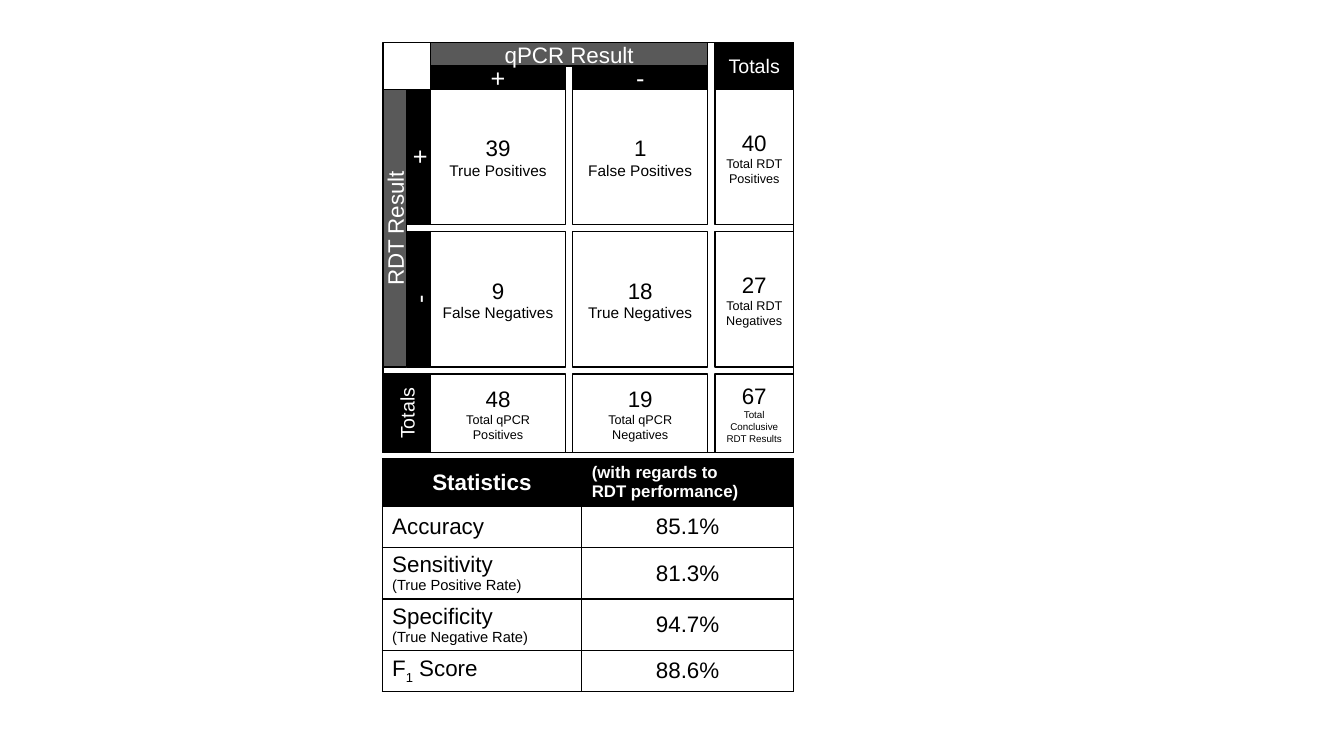
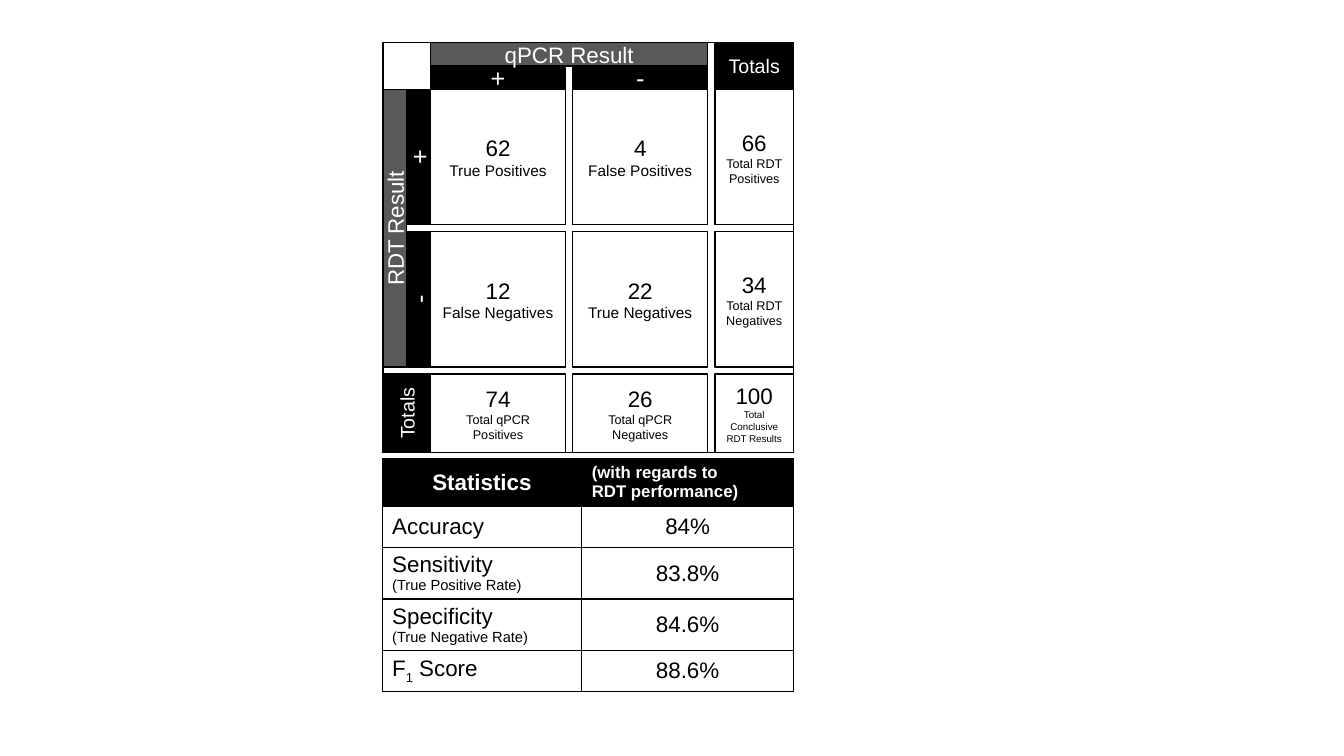
from dataclasses import dataclass

from lxml import etree
from pptx import Presentation
from pptx.dml.color import RGBColor
from pptx.enum.shapes import MSO_SHAPE
from pptx.enum.text import MSO_ANCHOR, PP_ALIGN
from pptx.oxml.ns import qn
from pptx.slide import Slide
from pptx.table import _Cell
from pptx.text.text import TextFrame
from pptx.util import Inches, Pt

BLACK = RGBColor(0x00, 0x00, 0x00)
GRAY = RGBColor(0x59, 0x59, 0x59)
WHITE = RGBColor(0xFF, 0xFF, 0xFF)
FONT = "Arial"
RECTANGLE = MSO_SHAPE.RECTANGLE
MIDDLE = MSO_ANCHOR.MIDDLE
CENTER = PP_ALIGN.CENTER
LEFT = PP_ALIGN.LEFT

GRID_LEFT, GRID_TOP = 3.80, 0.42
BAND = 0.235
HEADER = 2 * BAND
CELL = 1.34
TOTAL = 0.78
GAP = 0.07
STARTS = [HEADER + index * (CELL + GAP) for index in range(3)]
SIZES = [CELL, CELL, TOTAL]
SPAN = 2 * CELL + GAP
GRID_SIZE = STARTS[2] + TOTAL
TABLE_LEFT, TABLE_TOP = 3.79, 4.55
COLUMN_WIDTHS = [1.98, 2.10]
ROW_HEIGHT = 0.41


@dataclass(frozen=True)
class Line:
    text: str
    size: float = 16
    bold: bool = False


@dataclass(frozen=True)
class Box:
    left: float
    top: float
    width: float
    height: float
    lines: tuple[Line, ...] = ()
    fill: RGBColor | None = None
    vertical: bool = False


@dataclass(frozen=True)
class Study:
    counts: tuple[tuple[int, int], tuple[int, int]]
    statistics: tuple[str, str, str, str]


STUDIES = [
    Study(((39, 1), (9, 18)), ("85.1%", "81.3%", "94.7%", "88.6%")),
    Study(((62, 4), (12, 22)), ("84%", "83.8%", "84.6%", "88.6%")),
]
CAPTIONS = [
    [Line("True Positives", 11), Line("False Positives", 11), Line("Total RDT Positives", 9)],
    [Line("False Negatives", 11), Line("True Negatives", 11), Line("Total RDT Negatives", 9)],
    [Line("Total qPCR Positives", 9), Line("Total qPCR Negatives", 9),
     Line("Total Conclusive RDT Results", 7)],
]
STATISTIC_LABELS = [
    (Line("Accuracy"),),
    (Line("Sensitivity"), Line("(True Positive Rate)", 10.5)),
    (Line("Specificity"), Line("(True Negative Rate)", 10.5)),
    (Line("F_1_ Score"),),
]
TABLE_HEADING = (Line("Statistics", bold=True),)
TABLE_NOTE = (Line("(with regards to", 12, True), Line("RDT performance)", 12, True))


def header_pair(start: float, size: float, line: Line, fill: RGBColor,
                offset: float, depth: float) -> list[Box]:
    return [
        Box(start, offset, size, depth, (line,), fill),
        Box(offset, start, depth, size, (line,), fill, vertical=True),
    ]


def header_boxes() -> list[Box]:
    boxes = []
    for start, sign in zip(STARTS, "+-"):
        boxes += header_pair(start, CELL, Line(sign, 18), BLACK, BAND, BAND)
    across, down = (
        header_pair(STARTS[0], SPAN, Line(name), GRAY, 0, BAND)[index]
        for index, name in enumerate(("qPCR Result", "RDT Result"))
    )
    totals = header_pair(STARTS[2], TOTAL, Line("Totals", 14), BLACK, 0, HEADER)
    return [*boxes, across, down, *totals]


def count_boxes(study: Study) -> list[Box]:
    rows = [[*row, sum(row)] for row in study.counts]
    rows.append([sum(column) for column in zip(*rows)])
    return [
        Box(STARTS[column], STARTS[row], SIZES[column], SIZES[row],
            (Line(str(count)), CAPTIONS[row][column]))
        for row, counts in enumerate(rows)
        for column, count in enumerate(counts)
    ]


def write_lines(frame: TextFrame, lines: tuple[Line, ...], color: RGBColor,
                alignment: PP_ALIGN) -> None:
    for index, line in enumerate(lines):
        paragraph = frame.add_paragraph() if index else frame.paragraphs[0]
        paragraph.alignment = alignment
        paragraph.font.name = FONT
        paragraph.font.size = Pt(line.size)
        paragraph.font.bold = line.bold
        paragraph.font.color.rgb = color
        for position, part in enumerate(line.text.split("_")):
            run = paragraph.add_run()
            run.text = part
            if position % 2:
                run.font._element.set("baseline", "-25000")


def draw_box(slide: Slide, box: Box) -> None:
    width, height = (box.height, box.width) if box.vertical else (box.width, box.height)
    left = GRID_LEFT + box.left + (box.width - width) / 2
    top = GRID_TOP + box.top + (box.height - height) / 2
    shape = slide.shapes.add_shape(
        RECTANGLE, Inches(left), Inches(top), Inches(width), Inches(height))
    shape.rotation = 270 if box.vertical else 0
    shape.shadow.inherit = False
    shape.line.color.rgb = BLACK
    shape.line.width = Pt(1)
    if box.fill is None:
        shape.fill.background()
    else:
        shape.fill.solid()
        shape.fill.fore_color.rgb = box.fill
    shape.text_frame.word_wrap = True
    shape.text_frame.vertical_anchor = MIDDLE
    write_lines(shape.text_frame, box.lines, WHITE if box.fill else BLACK, CENTER)


def set_borders(cell: _Cell, thin_sides: str) -> None:
    properties = cell._tc.get_or_add_tcPr()
    for side in "LRTB":
        width = Pt(0.5) if side in thin_sides else Pt(1)
        border = etree.SubElement(properties, qn(f"a:ln{side}"), w=str(width))
        fill = etree.SubElement(border, qn("a:solidFill"))
        etree.SubElement(fill, qn("a:srgbClr"), val=str(BLACK))


def fill_cell(cell: _Cell, lines: tuple[Line, ...], alignment: PP_ALIGN,
              header: bool = False, thin_sides: str = "") -> None:
    set_borders(cell, thin_sides)
    if header:
        cell.fill.solid()
        cell.fill.fore_color.rgb = BLACK
    else:
        cell.fill.background()
    cell.vertical_anchor = MIDDLE
    write_lines(cell.text_frame, lines, WHITE if header else BLACK, alignment)


def draw_statistics(slide: Slide, study: Study) -> None:
    row_count = len(STATISTIC_LABELS) + 1
    table = slide.shapes.add_table(
        row_count, 2, Inches(TABLE_LEFT), Inches(TABLE_TOP),
        Inches(sum(COLUMN_WIDTHS)), Inches(row_count * ROW_HEIGHT)).table
    table.first_row = False
    table.horz_banding = False
    for column, width in zip(table.columns, COLUMN_WIDTHS):
        column.width = Inches(width)
    for row in table.rows:
        row.height = Inches(ROW_HEIGHT)
    fill_cell(table.cell(0, 0), TABLE_HEADING, CENTER, True, "LT")
    fill_cell(table.cell(0, 1), TABLE_NOTE, LEFT, True, "TR")
    for row, (label, value) in enumerate(zip(STATISTIC_LABELS, study.statistics), 1):
        fill_cell(table.cell(row, 0), label, LEFT)
        fill_cell(table.cell(row, 1), (Line(value),), CENTER)


def build_slide(presentation: Presentation, study: Study) -> None:
    slide = presentation.slides.add_slide(presentation.slide_layouts[6])
    frame = Box(0, 0, GRID_SIZE, GRID_SIZE)
    for box in [*header_boxes(), frame, *count_boxes(study)]:
        draw_box(slide, box)
    draw_statistics(slide, study)


def main() -> None:
    presentation = Presentation()
    presentation.slide_width = Inches(13.33)
    presentation.slide_height = Inches(7.5)
    for study in STUDIES:
        build_slide(presentation, study)
    presentation.save("out.pptx")


main()
